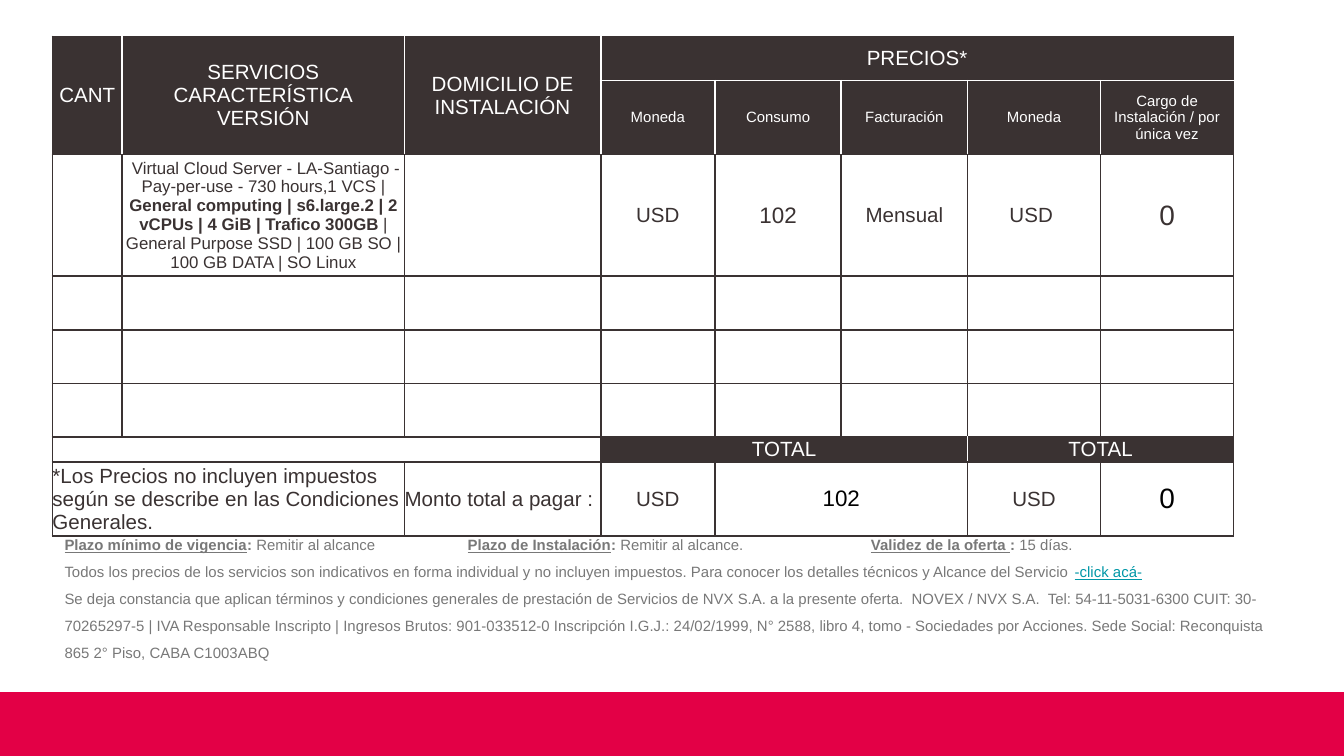
from dataclasses import dataclass
from itertools import product

from lxml import etree
from pptx import Presentation
from pptx.dml.color import RGBColor
from pptx.enum import shapes, text
from pptx.oxml.ns import qn
from pptx.util import Inches, Pt


@dataclass(frozen=True)
class Theme:
    font: str = "Arial"
    dark: str = "3A3232"
    white: str = "FFFFFF"
    black: str = "000000"
    grey: str = "787878"
    link: str = "0097A7"
    band: str = "E30046"
    small: int = 8
    detail: int = 9
    body: int = 11
    amount: int = 12
    charge: int = 15


THEME = Theme()


@dataclass(frozen=True)
class Run:
    words: str
    bold: bool = False
    underline: bool = False
    color: str | None = None


LINE_BREAK = Run("\n")


@dataclass(frozen=True)
class Entry:
    """A filled table cell; white_sides names its white borders (L, R, T, B)."""
    row: int
    col: int
    lines: list[list[Run]]
    size: int = THEME.body
    color: str = THEME.dark
    rows: int = 1
    cols: int = 1
    header: bool = False
    white_sides: str = ""
    centred: bool = True


def plain(*lines: str) -> list[list[Run]]:
    return [[Run(line)] for line in lines]


def header(row: int, col: int, *lines: str, white_sides: str, size: int = THEME.body,
           rows: int = 1, cols: int = 1) -> Entry:
    return Entry(row, col, plain(*lines), size, THEME.white, rows, cols, True, white_sides)


COLUMNS = [0.52, 2.1, 1.46, 0.85, 0.94, 0.94, 0.99, 0.99]
ROWS = [0.33, 0.39, 0.83, 0.4, 0.4, 0.4, 0.17, 0.51]
PRICE_HEADS = ["Moneda", "Consumo", "Facturación", "Moneda",
               "Cargo de Instalación / por única vez"]
SERVICE = [[
    Run("\u00a0Virtual Cloud Server - LA-Santiago - Pay-per-use - 730 hours,1 VCS | "),
    Run("General computing | s6.large.2 | 2 vCPUs | 4 GiB | Trafico 300GB", bold=True),
    Run(" | General Purpose SSD | 100 GB SO | 100 GB DATA | SO Linux"),
]]
ENTRIES = [
    header(0, 0, "CANT", rows=2, white_sides="R"),
    header(0, 1, "SERVICIOS", "CARACTERÍSTICA", "VERSIÓN", rows=2, white_sides="LR"),
    header(0, 2, "DOMICILIO DE INSTALACIÓN", rows=2, white_sides="LR"),
    header(0, 3, "PRECIOS*", cols=5, white_sides="LB"),
    *(header(1, col, name, size=THEME.small, white_sides="LT" if col == 7 else "LTR")
      for col, name in enumerate(PRICE_HEADS, start=3)),
    Entry(2, 1, SERVICE, THEME.detail),
    Entry(2, 3, plain("USD")),
    Entry(2, 4, plain("102"), THEME.amount),
    Entry(2, 5, plain("Mensual")),
    Entry(2, 6, plain("USD ")),
    Entry(2, 7, plain("0"), THEME.charge),
    Entry(6, 0, [[]], THEME.small, cols=3),
    header(6, 3, "TOTAL", cols=3, white_sides="R"),
    header(6, 6, "TOTAL", cols=2, white_sides="L"),
    Entry(7, 0, plain("*Los Precios no incluyen impuestos según se describe en las "
                      "Condiciones Generales."), cols=2, centred=False),
    Entry(7, 2, plain("Monto total a pagar :"), centred=False),
    Entry(7, 3, plain("USD")),
    Entry(7, 4, plain("102"), THEME.amount, THEME.black, cols=2),
    Entry(7, 6, plain("USD")),
    Entry(7, 7, plain("0"), THEME.charge, THEME.black),
]


def term(label: str, value: str) -> list[Run]:
    return [Run(label, bold=True, underline=True), Run(": ", bold=True), Run(value)]


CONDITIONS = [
    term("Plazo mínimo de vigencia", "Remitir al alcance \t")
    + term("Plazo de Instalación", "Remitir al alcance. \t")
    + term("Validez de la oferta ", "15 días."),
    [Run("Todos los precios de los servicios son indicativos en forma individual y no incluyen "
         "impuestos. Para conocer los detalles técnicos y Alcance del Servicio "),
     Run("-click acá-", underline=True, color=THEME.link),
     LINE_BREAK,
     Run("Se deja constancia que aplican términos y condiciones generales de prestación de "
         "Servicios de NVX S.A. a la presente oferta.  NOVEX / NVX S.A.  Tel: 54-11-5031-6300 "
         "CUIT: 30-70265297-5 | IVA Responsable Inscripto | Ingresos Brutos: 901-033512-0 "
         "Inscripción I.G.J.: 24/02/1999, N° 2588, libro 4, tomo - Sociedades por Acciones. "
         "Sede Social: Reconquista 865 2° Piso, CABA C1003ABQ")],
]


def set_font(font, size: int, color: str) -> None:
    font.name = THEME.font
    font.size = Pt(size)
    font.color.rgb = RGBColor.from_string(color)


def write(frame, lines: list[list[Run]], size: int, color: str, align=None,
          spacing: float | None = None, tabs: tuple[float, ...] = ()) -> None:
    for index, runs in enumerate(lines):
        paragraph = frame.add_paragraph() if index else frame.paragraphs[0]
        paragraph.alignment = align
        paragraph.line_spacing = spacing
        if tabs:
            stops = etree.SubElement(paragraph._p.get_or_add_pPr(), qn("a:tabLst"))
            for stop in tabs:
                etree.SubElement(stops, qn("a:tab"), pos=str(Inches(stop)), algn="l")
        set_font(paragraph.font, size, color)
        for part in runs:
            if part is LINE_BREAK:
                paragraph.add_line_break()
                line_break = paragraph._p.findall(qn("a:br"))[-1]
                etree.SubElement(line_break, qn("a:rPr"), sz=str(size * 100))
                continue
            run = paragraph.add_run()
            run.text = part.words
            # Table row heights are measured from run fonts.
            set_font(run.font, size, part.color or color)
            if part.bold:
                run.font.bold = True
            if part.underline:
                run.font.underline = True


def style_cell(cell, dark: bool = False, white_sides: str = "") -> None:
    cell.margin_left = cell.margin_right = cell.margin_top = cell.margin_bottom = 0
    cell.vertical_anchor = text.MSO_ANCHOR.MIDDLE
    properties = cell._tc.get_or_add_tcPr()
    for side in "LRTB":
        line = etree.SubElement(properties, qn(f"a:ln{side}"), w=str(Pt(1)))
        fill = etree.SubElement(line, qn("a:solidFill"))
        color = THEME.white if side in white_sides else THEME.dark
        etree.SubElement(fill, qn("a:srgbClr"), val=color)
    if dark:
        cell.fill.solid()
        cell.fill.fore_color.rgb = RGBColor.from_string(THEME.dark)
    else:
        cell.fill.background()
    # Empty cells need a small end mark, or they stretch the narrow rows.
    end_mark = etree.SubElement(cell.text_frame.paragraphs[0]._p, qn("a:endParaRPr"),
                                sz=str(THEME.small * 100))
    etree.SubElement(end_mark, qn("a:latin"), typeface=THEME.font)


def add_price_table(slide) -> None:
    table = slide.shapes.add_table(len(ROWS), len(COLUMNS), Inches(0.39), Inches(0.27),
                                   Inches(sum(COLUMNS)), Inches(sum(ROWS))).table
    table.first_row = table.horz_banding = False
    for column, width in zip(table.columns, COLUMNS):
        column.width = Inches(width)
    for row, height in zip(table.rows, ROWS):
        row.height = Inches(height)

    owners = {(entry.row + r, entry.col + c): entry for entry in ENTRIES
              for r, c in product(range(entry.rows), range(entry.cols))}
    for place in product(range(len(ROWS)), range(len(COLUMNS))):
        owner = owners.get(place)
        if owner:
            style_cell(table.cell(*place), owner.header, owner.white_sides)
        else:
            style_cell(table.cell(*place))
    for entry in ENTRIES:
        cell = table.cell(entry.row, entry.col)
        if entry.rows * entry.cols > 1:
            cell.merge(table.cell(entry.row + entry.rows - 1, entry.col + entry.cols - 1))
        align = text.PP_ALIGN.CENTER if entry.centred else text.PP_ALIGN.LEFT
        write(cell.text_frame, entry.lines, entry.size, entry.color, align)


def add_bottom_band(slide) -> None:
    band = slide.shapes.add_shape(shapes.MSO_SHAPE.RECTANGLE, Inches(-0.01), Inches(5.15),
                                  Inches(10.02), Inches(0.49))
    band.shadow.inherit = False
    band.fill.solid()
    band.fill.fore_color.rgb = RGBColor.from_string(THEME.band)
    band.line.fill.background()


def add_conditions(slide) -> None:
    frame = slide.shapes.add_textbox(Inches(0.39), Inches(3.83),
                                     Inches(9.24), Inches(1.18)).text_frame
    frame.word_wrap = True
    frame.vertical_anchor = text.MSO_ANCHOR.MIDDLE
    frame.margin_left = frame.margin_right = Inches(0.09)
    write(frame, CONDITIONS, THEME.small, THEME.grey, spacing=1.5, tabs=(3, 6))


def main() -> None:
    deck = Presentation()
    deck.slide_width = Inches(10)
    deck.slide_height = deck.slide_width * 9 // 16
    slide = deck.slides.add_slide(deck.slide_layouts[6])
    add_bottom_band(slide)
    add_conditions(slide)
    add_price_table(slide)
    deck.save("out.pptx")


if __name__ == "__main__":
    main()
